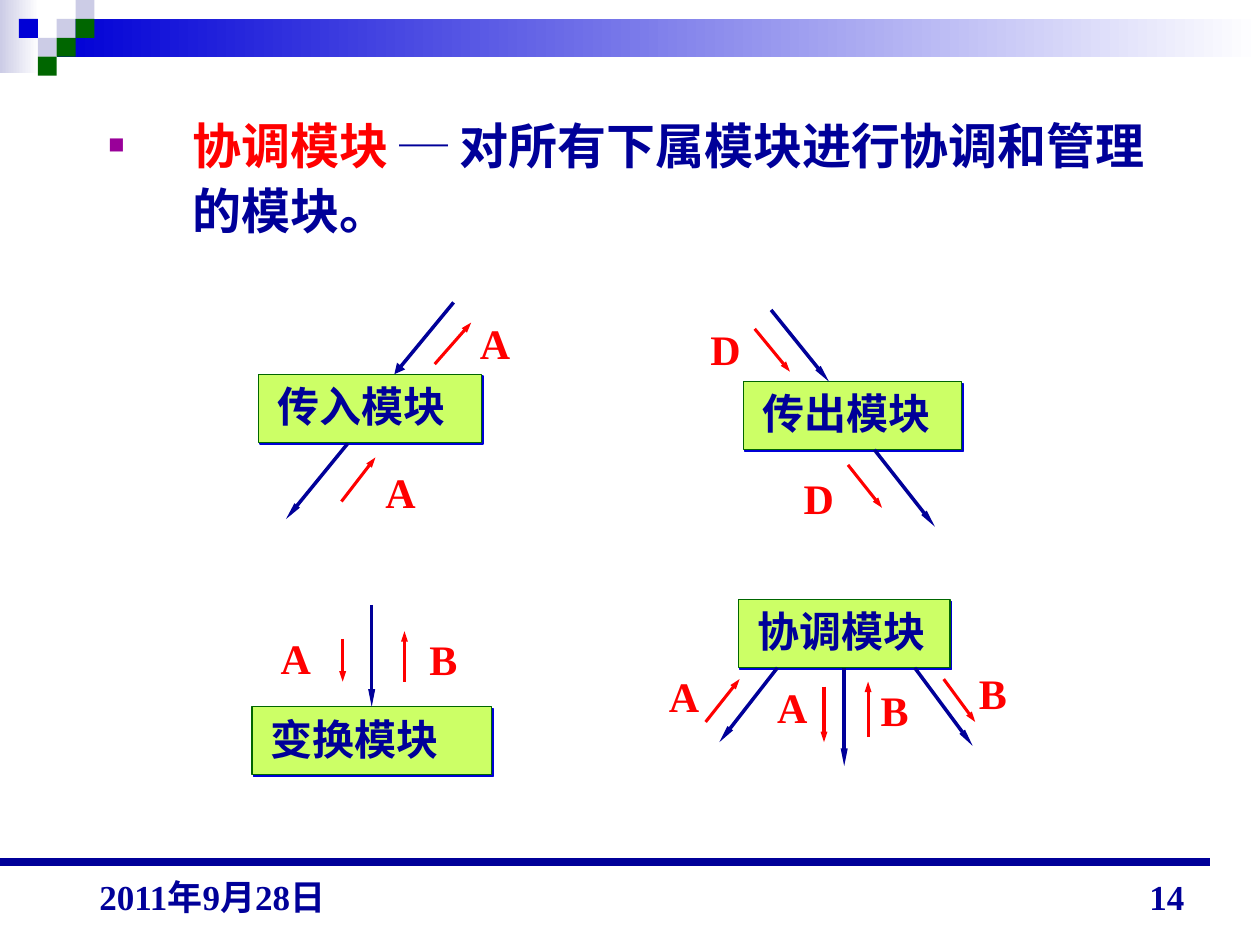
from lxml import etree
from pptx import Presentation
from pptx.dml.color import RGBColor
from pptx.enum.shapes import MSO_CONNECTOR, MSO_SHAPE
from pptx.enum.text import MSO_ANCHOR, MSO_AUTO_SIZE, PP_ALIGN
from pptx.oxml.ns import qn
from pptx.util import Inches, Pt

RECT = MSO_SHAPE.RECTANGLE
LINE = MSO_CONNECTOR.STRAIGHT
TOP, LOW = MSO_ANCHOR.TOP, MSO_ANCHOR.BOTTOM
LEFT, RIGHT = PP_ALIGN.LEFT, PP_ALIGN.RIGHT
FIXED = MSO_AUTO_SIZE.NONE
FONT = "Times New Roman"
HEX = {"navy": "000099", "red": "FF0000", "lime": "CCFF66", "green": "006600",
       "blue": "0000D6", "pale": "CCCCE6", "white": "FFFFFF", "plum": "990099"}
RGB = {name: RGBColor.from_string(code) for name, code in HEX.items()}

prs = Presentation()
prs.slide_width, prs.slide_height = Inches(10), Inches(7.5)
slide = prs.slides.add_slide(prs.slide_layouts[1])
shapes = slide.shapes
title = shapes.title.element
title.getparent().remove(title)


def write(shape, *runs, size=24, align=LEFT, anchor=TOP, inset=0.1):
    """Fill a shape with one bold paragraph of (text, colour) runs."""
    frame = shape.text_frame
    frame.word_wrap, frame.auto_size = True, FIXED
    frame.vertical_anchor = anchor
    frame.margin_left, frame.margin_right = Inches(inset), Inches(0.1)
    frame.margin_top = frame.margin_bottom = Inches(0.05)
    para = frame.paragraphs[0]
    para.alignment = align
    for text, color in runs:
        run = para.add_run()
        run.text = text
        run.font.name, run.font.size, run.font.bold = FONT, Pt(size), True
        run.font.color.rgb = RGB[color]
    return para


def draw(x1, y1, x2, y2, color="navy", width=2, head=("sm", "lg")):
    """Add a line; head gives the width and length of its arrowhead."""
    line = shapes.add_connector(LINE, Inches(x1), Inches(y1), Inches(x2), Inches(y2))
    line.line.color.rgb, line.line.width = RGB[color], Pt(width)
    if head:
        etree.SubElement(line.line._get_or_add_ln(), qn("a:tailEnd"),
                         type="triangle", w=head[0], len=head[1])
    etree.SubElement(line.element.spPr, qn("a:effectLst"))
    return line


# Header band and mosaic
for x, y, w, h, color in [(0, 0, 0.31, 0.58, "pale"), (0.45, 0.15, 9.55, 0.3, "blue")]:
    band = shapes.add_shape(RECT, Inches(x), Inches(y), Inches(w), Inches(h))
    band.shadow.inherit = False
    band.line.fill.background()
    band.fill.gradient()
    band.fill.gradient_angle = 0
    for stop, tone in zip(band.fill.gradient_stops, (color, "white")):
        stop.color.rgb = RGB[tone]

tile = 0.15
for col, row, color in [(3, 1, "pale"), (4, 0, "pale"), (4, 1, "green"), (2, 2, "pale"),
                        (1, 1, "blue"), (3, 2, "green"), (2, 3, "green")]:
    cell = shapes.add_shape(RECT, Inches(col * tile), Inches(row * tile),
                            Inches(tile), Inches(tile))
    cell.shadow.inherit = False
    cell.fill.solid()
    cell.fill.fore_color.rgb = RGB[color]
    cell.line.fill.background()

# Definition
body = slide.placeholders[1]
body.left, body.top = Inches(0.76), Inches(0.82)
body.width, body.height = Inches(8.5), Inches(1.31)
para = write(body, ("协调模块", "red"), (" ─ 对所有下属模块进行协调和管理的模块。", "navy"), size=28)
props = para._p.get_or_add_pPr()
props.set("marL", str(Inches(0.67)))
props.set("indent", str(-Inches(0.67)))
tint = etree.SubElement(props, qn("a:buClr"))
etree.SubElement(tint, qn("a:srgbClr"), val=HEX["plum"])
etree.SubElement(props, qn("a:buSzPct"), val="55000")
etree.SubElement(props, qn("a:buFont"), typeface=FONT)
etree.SubElement(props, qn("a:buChar"), char="■")
para.line_spacing, para.space_before = 1.1, Pt(0)

# Modules
boxes = {}
for key, text, x, y, w in [("in", "传入模块", 2.05, 2.97, 1.77),
                           ("out", "传出模块", 5.9, 3.03, 1.73),
                           ("change", "变换模块", 2, 5.61, 1.9),
                           ("manage", "协调模块", 5.86, 4.76, 1.68)]:
    box = shapes.add_shape(RECT, Inches(x), Inches(y), Inches(w), Inches(0.54))
    box.fill.solid()
    box.fill.fore_color.rgb = RGB["lime"]
    box.line.color.rgb, box.line.width = RGB["green"], Pt(0.75)
    effects = etree.SubElement(box.element.spPr, qn("a:effectLst"))
    shade = etree.SubElement(effects, qn("a:outerShdw"), dist=str(Pt(1.4)),
                             dir="2700000", algn="ctr", rotWithShape="0")
    etree.SubElement(shade, qn("a:srgbClr"), val=HEX["blue"])
    write(box, (text, "navy"), inset=0.15)
    boxes[key] = box

# Calls between modules
draw(3.6, 2.4, 3.13, 2.97, head=("med", "med"))
for ends in [(2.76, 3.52, 2.27, 4.12), (6.12, 2.46, 6.58, 3.03), (6.94, 3.57, 7.42, 4.18),
             (6.17, 5.3, 5.71, 5.89), (7.26, 5.3, 7.72, 5.92)]:
    draw(*ends)
draw(2.95, 4.8, 2.95, 5.61).end_connect(boxes["change"], 0)
draw(6.7, 5.3, 6.7, 6.08).begin_connect(boxes["manage"], 2)

# Data flows, each with its label
for text, x, y, *ends in [
        ("A", 3.71, 2.47, 3.45, 2.89, 3.74, 2.56),
        ("A", 2.96, 3.65, 2.71, 3.98, 2.98, 3.63),
        ("D", 5.54, 2.52, 5.99, 2.61, 6.27, 2.95),
        ("D", 6.28, 3.7, 6.73, 3.69, 7, 4.03),
        ("A", 2.13, 4.97, 2.72, 5.07, 2.72, 5.41),
        ("B", 3.31, 4.98, 3.21, 5.41, 3.21, 5.01),
        ("A", 5.21, 5.27, 5.6, 5.73, 5.87, 5.39),
        ("A", 6.07, 5.36, 6.54, 5.45, 6.54, 5.89),
        ("B", 6.89, 5.38, 6.89, 5.85, 6.89, 5.41),
        ("B", 7.67, 5.25, 7.49, 5.39, 7.74, 5.73)]:
    draw(*ends, color="red", width=1.75, head=("sm", "med"))
    label = shapes.add_textbox(Inches(x), Inches(y), Inches(0.5), Inches(0.5))
    write(label, (text, "red"))

# Footer
draw(0, 6.84, 9.6, 6.84, width=4.5, head=None)
for text, x, align in [("2011年9月28日", 0.69, LEFT), ("14", 7.17, RIGHT)]:
    foot = shapes.add_textbox(Inches(x), Inches(6.83), Inches(2.33), Inches(0.5))
    write(foot, (text, "navy"), size=20, align=align, anchor=LOW)

prs.save("out.pptx")
